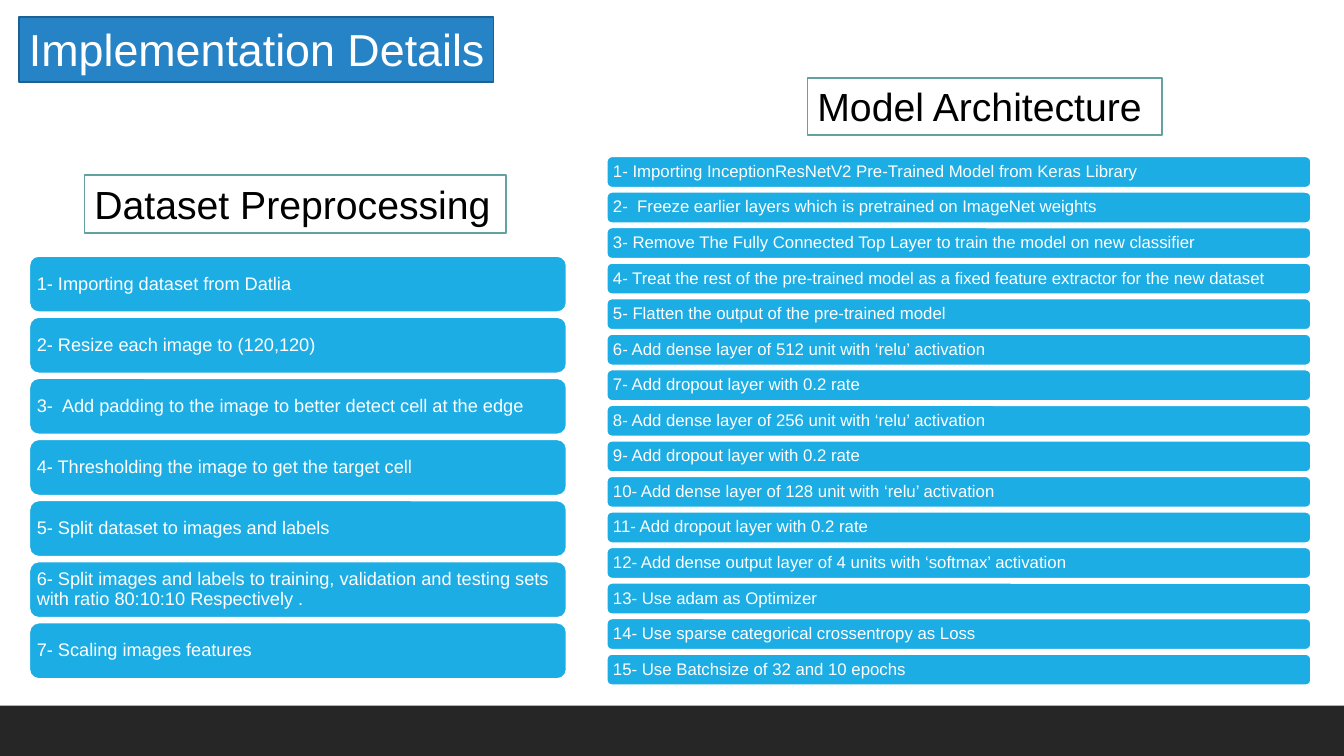
from dataclasses import dataclass

from pptx import Presentation
from pptx.dml.color import RGBColor
from pptx.enum.shapes import MSO_SHAPE
from pptx.enum.text import MSO_ANCHOR, PP_ALIGN
from pptx.util import Cm, Pt


@dataclass(frozen=True)
class Theme:
    font: str = "Arial"
    white: str = "FFFFFF"
    black: str = "000000"
    footer: str = "262626"
    title_fill: str = "2683C6"
    title_line: str = "1C6192"
    heading_line: str = "62A39F"
    step_fill: str = "1CADE4"
    title_size: int = 32
    heading_size: int = 28
    preprocessing_size: int = 13
    architecture_size: int = 12
    line_width: float = 1.25


PREPROCESSING_STEPS = [
    "1- Importing dataset from Datlia",
    "2- Resize each image to (120,120)",
    "3-  Add padding to the image to better detect cell at the edge",
    "4- Thresholding the image to get the target cell",
    "5- Split dataset to images and labels",
    "6- Split images and labels to training, validation and testing sets with ratio 80:10:10 Respectively .",
    "7- Scaling images features",
]

ARCHITECTURE_STEPS = [
    "1- Importing InceptionResNetV2 Pre-Trained Model from Keras Library",
    "2-  Freeze earlier layers which is pretrained on ImageNet weights",
    "3- Remove The Fully Connected Top Layer to train the model on new classifier",
    "4- Treat the rest of the pre-trained model as a fixed feature extractor for the new dataset",
    "5- Flatten the output of the pre-trained model",
    "6- Add dense layer of 512 unit with ‘relu’ activation",
    "7- Add dropout layer with 0.2 rate",
    "8- Add dense layer of 256 unit with ‘relu’ activation",
    "9- Add dropout layer with 0.2 rate",
    "10- Add dense layer of 128 unit with ‘relu’ activation",
    "11- Add dropout layer with 0.2 rate",
    "12- Add dense output layer of 4 units with ‘softmax’ activation",
    "13- Use adam as Optimizer",
    "14- Use sparse categorical crossentropy as Loss",
    "15- Use Batchsize of 32 and 10 epochs",
]


def write_text(box, text, *, font, size, color, anchor=MSO_ANCHOR.TOP,
               wrap=True, inset=None, line_spacing=1.0):
    frame = box.text_frame
    frame.word_wrap = wrap
    frame.vertical_anchor = anchor
    if inset is not None:
        frame.margin_left = frame.margin_right = Cm(inset)
        frame.margin_top = frame.margin_bottom = Cm(inset)
    para = frame.paragraphs[0]
    para.alignment = PP_ALIGN.LEFT
    para.line_spacing = line_spacing
    span = para.add_run()
    span.text = text
    span.font.name = font
    span.font.size = Pt(size)
    span.font.color.rgb = RGBColor.from_string(color)


class SlideBuilder:
    def __init__(self, page, theme):
        self.page = page
        self.theme = theme

    def panel(self, left, top, width, height, fill, line=None, kind=MSO_SHAPE.RECTANGLE):
        box = self.page.shapes.add_shape(kind, Cm(left), Cm(top), Cm(width), Cm(height))
        box.shadow.inherit = False
        box.fill.solid()
        box.fill.fore_color.rgb = RGBColor.from_string(fill)
        if line:
            box.line.color.rgb = RGBColor.from_string(line)
            box.line.width = Pt(self.theme.line_width)
        else:
            box.line.fill.background()
        return box

    def title(self, text, left, top, width, height):
        theme = self.theme
        box = self.panel(left, top, width, height, theme.title_fill, theme.title_line)
        write_text(box, text, font=theme.font, size=theme.title_size,
                   color=theme.white, wrap=False)

    def heading(self, text, left, top, width, height):
        theme = self.theme
        box = self.panel(left, top, width, height, theme.white, theme.heading_line)
        write_text(box, text, font=theme.font, size=theme.heading_size, color=theme.black)

    def step_list(self, steps, left, top, width, height, pitch, size):
        theme = self.theme
        for index, step in enumerate(steps):
            box = self.panel(left, top + index * pitch, width, height, theme.step_fill,
                             theme.white, MSO_SHAPE.ROUNDED_RECTANGLE)
            write_text(box, step, font=theme.font, size=size, color=theme.white,
                       anchor=MSO_ANCHOR.MIDDLE, inset=0.12, line_spacing=0.9)


def main():
    deck = Presentation()
    deck.slide_width, deck.slide_height = Cm(33.87), Cm(19.05)
    theme = Theme()
    builder = SlideBuilder(deck.slides.add_slide(deck.slide_layouts[6]), theme)

    builder.panel(0, 17.78, 33.87, 1.27, theme.footer)
    builder.title("Implementation Details", 0.48, 0.43, 11.96, 1.63)
    builder.step_list(ARCHITECTURE_STEPS, 15.29, 3.94, 17.75, 0.79,
                      pitch=12.54 / 14, size=theme.architecture_size)
    builder.step_list(PREPROCESSING_STEPS, 0.74, 6.45, 13.54, 1.42,
                      pitch=1.54, size=theme.preprocessing_size)
    builder.heading("Model Architecture", 20.35, 1.96, 8.94, 1.45)
    builder.heading("Dataset Preprocessing", 2.13, 4.42, 10.62, 1.45)
    deck.save("out.pptx")


if __name__ == "__main__":
    main()
